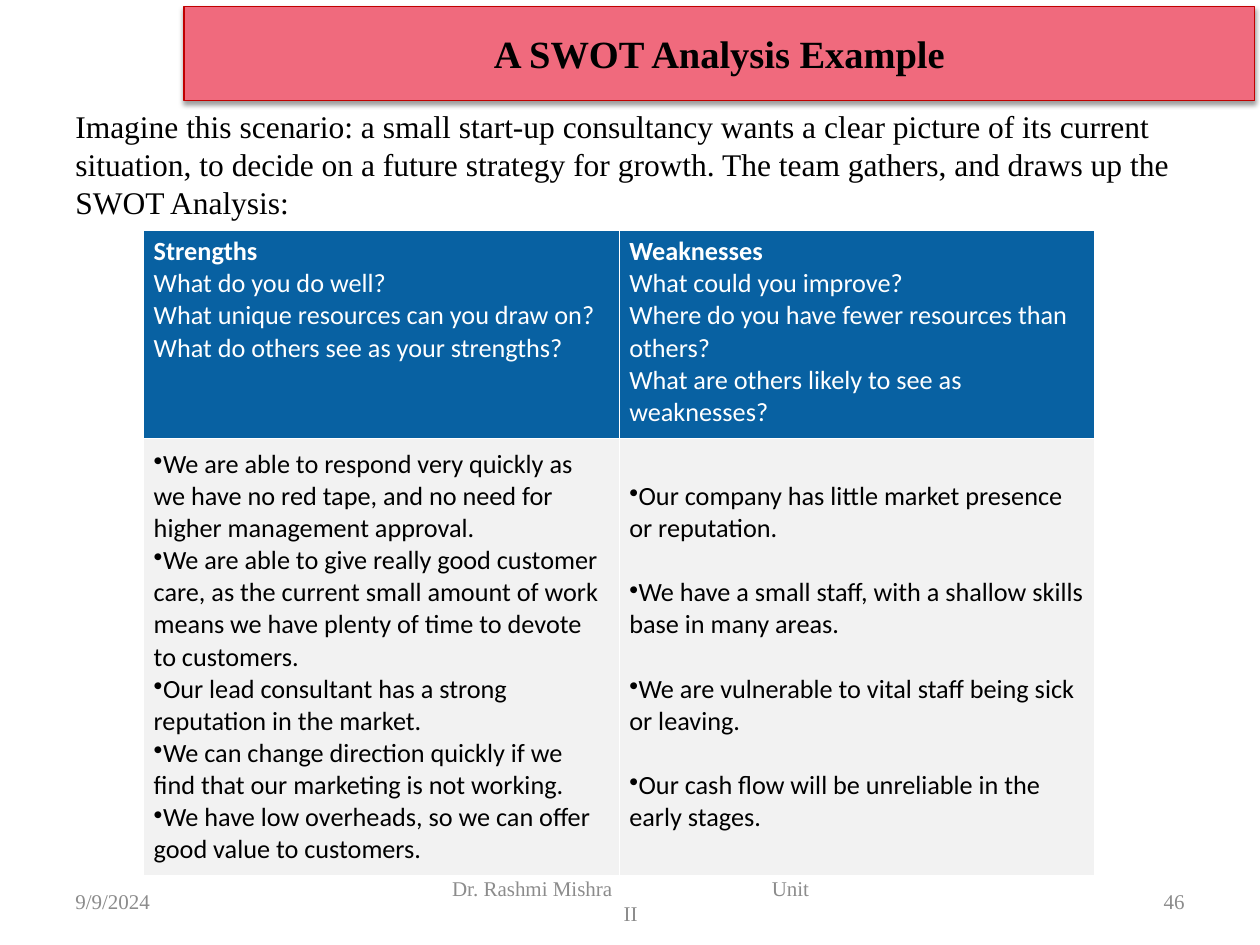
from lxml import etree
from pptx import Presentation
from pptx.dml.color import RGBColor
from pptx.enum import shapes, text
from pptx.oxml import ns, parse_xml
from pptx.util import Inches, Pt

BLACK = RGBColor(0x00, 0x00, 0x00)
WHITE = RGBColor(0xFF, 0xFF, 0xFF)
GRAY = RGBColor(0x8C, 0x8C, 0x8C)
PINK = RGBColor(0xF0, 0x6A, 0x7D)
RED = RGBColor(0xC0, 0x00, 0x00)
BLUE = RGBColor(0x08, 0x61, 0xA2)
PALE = RGBColor(0xF2, 0xF2, 0xF2)
SERIF, SANS = "Times New Roman", "Calibri"
LEFT, MID, RIGHT = text.PP_ALIGN.LEFT, text.PP_ALIGN.CENTER, text.PP_ALIGN.RIGHT
TOP, CENTER = text.MSO_ANCHOR.TOP, text.MSO_ANCHOR.MIDDLE

HEADS = [
    ("Strengths", ["What do you do well?",
                   "What unique resources can you draw on?",
                   "What do others see as your strengths?"]),
    ("Weaknesses", ["What could you improve?",
                    "Where do you have fewer resources than others?",
                    "What are others likely to see as weaknesses?"]),
]
STRONG = [
    "We are able to respond very quickly as we have no red tape, and no need "
    "for higher management approval.",
    "We are able to give really good customer care, as the current small amount "
    "of work means we have plenty of time to devote to customers.",
    "Our lead consultant has a strong reputation in the market.",
    "We can change direction quickly if we find that our marketing is not working.",
    "We have low overheads, so we can offer good value to customers.",
]
WEAK = [
    "Our company has little market presence or reputation.",
    "We have a small staff, with a shallow skills base in many areas.",
    "We are vulnerable to vital staff being sick or leaving.",
    "Our cash flow will be unreliable in the early stages.",
]
INTRO = ("Imagine this scenario: a small start-up consultancy wants a clear picture "
         "of its current situation, to decide on a future strategy for growth. "
         "The team gathers, and draws up the SWOT Analysis:")


class Deck:
    """Holds the text style and the current slide."""

    def __init__(self, slide):
        self.slide = slide
        self.face, self.size, self.color = SERIF, 12, GRAY

    def style(self, face, size, color):
        self.face, self.size, self.color = face, size, color

    def run(self, para, words, bold=False):
        run = para.add_run()
        run.text = words
        font = run.font
        font.name, font.size, font.bold = self.face, Pt(self.size), bold
        font.color.rgb = self.color
        return run

    def label(self, box, words, align=LEFT, anchor=CENTER):
        """Add a text box and return its paragraph."""
        frame = self.slide.shapes.add_textbox(*map(Inches, box)).text_frame
        frame.word_wrap = True
        frame.vertical_anchor = anchor
        para = frame.paragraphs[0]
        para.alignment = align
        self.run(para, words)
        return para

    def banner(self, box, words):
        rect = self.slide.shapes.add_shape(
            shapes.MSO_SHAPE.RECTANGLE, *map(Inches, box))
        rect.fill.solid()
        rect.fill.fore_color.rgb = PINK
        rect.line.color.rgb = RED
        rect.line.width = Pt(0.75)
        rect.shadow.inherit = False
        glow = rect._element.spPr.find(ns.qn("a:effectLst"))
        glow.append(parse_xml(
            f'<a:outerShdw {ns.nsdecls("a")} blurRad="{Pt(3.1)}" dist="{Pt(1.6)}" '
            'dir="5400000" rotWithShape="0"><a:srgbClr val="000000">'
            '<a:alpha val="38000"/></a:srgbClr></a:outerShdw>'))
        frame = rect.text_frame
        frame.vertical_anchor = CENTER
        frame.paragraphs[0].alignment = MID
        self.run(frame.paragraphs[0], words, True)

    def table(self, box, rows):
        grid = self.slide.shapes.add_table(
            len(rows), 2, *map(Inches, box)).table
        for row, high in zip(grid.rows, rows):
            row.height = Inches(high)
        return grid

    def cell(self, cell, fill, anchor):
        """Fill and border a cell and return its text frame."""
        cell.fill.solid()
        cell.fill.fore_color.rgb = fill
        cell.vertical_anchor = anchor
        cell.margin_left = cell.margin_right = Inches(0.08)
        cell.margin_top = cell.margin_bottom = Inches(0.04)
        props = cell._tc.get_or_add_tcPr()
        for spot, side in enumerate(("lnL", "lnR", "lnT", "lnB")):
            props.insert(spot, parse_xml(
                f'<a:{side} {ns.nsdecls("a")} w="{Pt(0.6)}"><a:solidFill>'
                f'<a:srgbClr val="{WHITE}"/></a:solidFill></a:{side}>'))
        return cell.text_frame

    def head(self, cell, title, lines):
        para = self.cell(cell, BLUE, TOP).paragraphs[0]
        self.run(para, title, True)
        for line in lines:
            para.add_line_break()
            self.run(para, line)

    def points(self, cell, items, gap):
        frame = self.cell(cell, PALE, CENTER)
        for spot, item in enumerate(items):
            para = frame.add_paragraph() if spot else frame.paragraphs[0]
            if spot:
                para.space_before = Pt(gap)
            props = para._p.get_or_add_pPr()
            props.set("marL", "0")
            props.set("indent", "0")
            etree.SubElement(props, ns.qn("a:buChar")).set("char", "•")
            self.run(para, item)


def main():
    prs = Presentation()
    prs.slide_width, prs.slide_height = Inches(10), Inches(7.5)
    deck = Deck(prs.slides.add_slide(prs.slide_layouts[6]))

    deck.label((0.5, 6.95, 2.33, 0.4), "9/9/2024")
    deck.label((7.17, 6.95, 2.33, 0.4), "46", RIGHT)
    foot = deck.label((3.42, 6.95, 3.17, 0.4), "Dr. Rashmi Mishra", MID)
    # One widely tracked space parts the name from the unit.
    space = deck.run(foot, " ")
    space._r.get_or_add_rPr().set("spc", "8800")
    deck.run(foot, "Unit II")

    deck.style(SERIF, 22, BLACK)
    deck.banner((1.46, 0.05, 8.5, 0.75), "A SWOT Analysis Example")
    deck.style(SERIF, 18, BLACK)
    deck.label((0.5, 0.8, 9, 6.35), INTRO, anchor=TOP)

    grid = deck.table((1.14, 1.83, 7.55, 5.12), (1.65, 3.47))
    deck.style(SANS, 15, WHITE)
    for col, (title, lines) in enumerate(HEADS):
        deck.head(grid.cell(0, col), title, lines)
    deck.style(SANS, 15, BLACK)
    for col, (items, gap) in enumerate(((STRONG, 0), (WEAK, 18.3))):
        deck.points(grid.cell(1, col), items, gap)

    prs.save("out.pptx")


if __name__ == "__main__":
    main()
